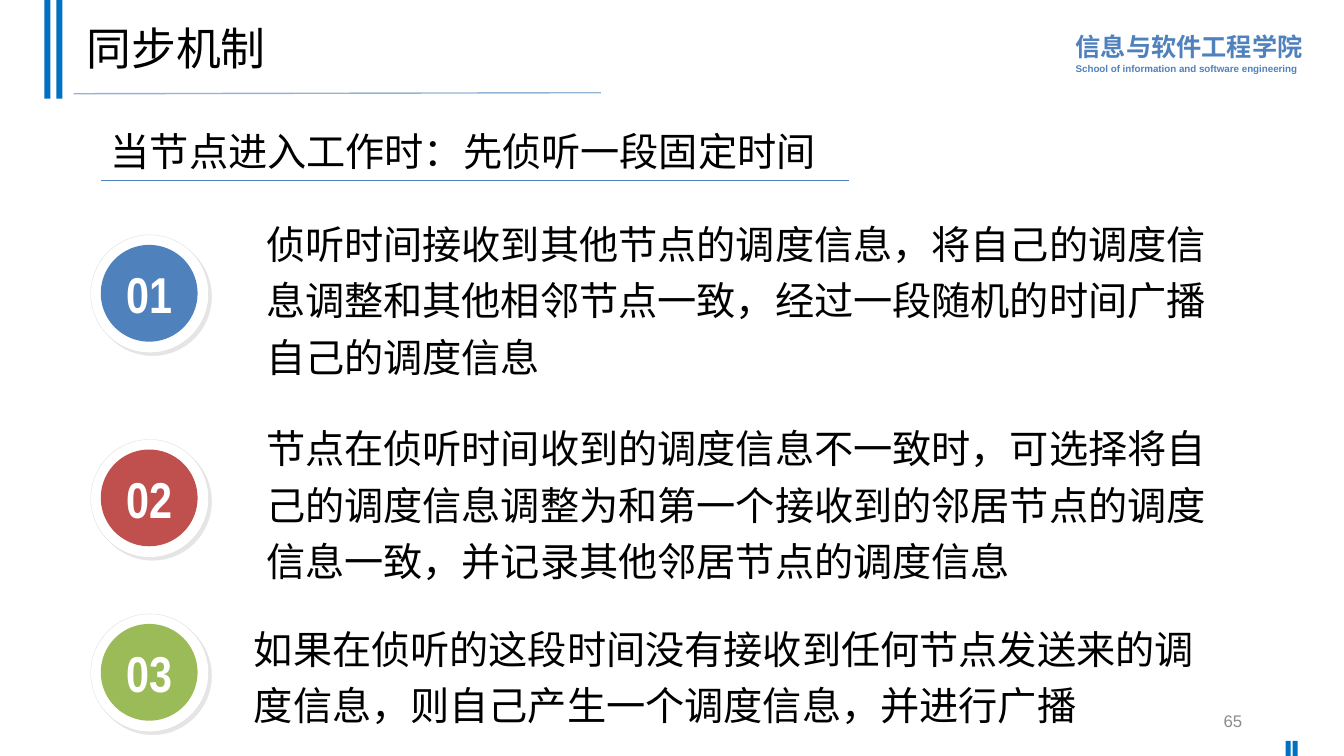
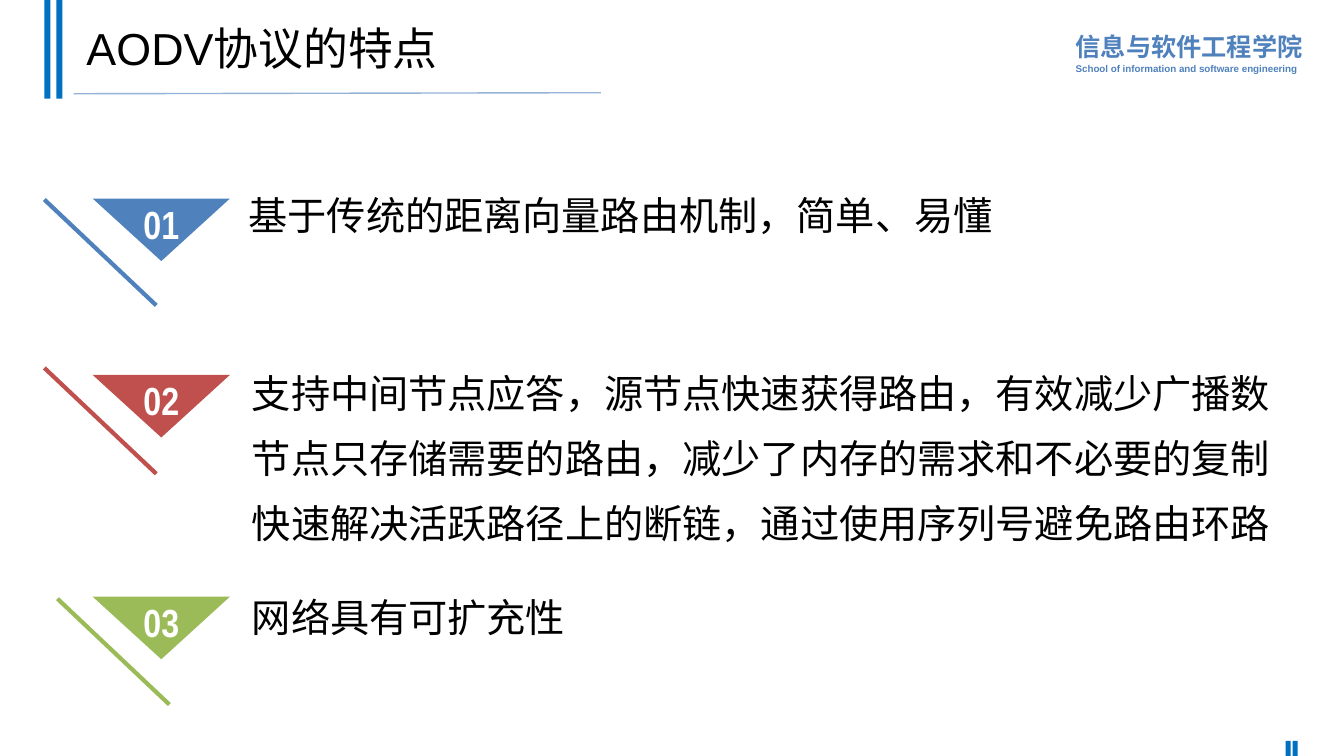
import lxml.etree
import pptx
import pptx.dml.color
import pptx.enum.shapes
import pptx.enum.text
import pptx.oxml.ns
import pptx.util

PX = 9144  # one px is a hundredth of an inch
BLUE, RED, GREEN = "4F81BD", "C0504D", "9BBB59"
BAR, RULE, WHITE, BLACK, GREY = "0070C0", "95B3D7", "FFFFFF", "000000", "8C8C8C"
HUES = [BLUE, RED, GREEN]
CJK = "Noto Sans CJK SC"

pt = pptx.util.Pt
rgb = pptx.dml.color.RGBColor.from_string
qn = pptx.oxml.ns.qn
Kind = pptx.enum.shapes.MSO_SHAPE
STRAIGHT = pptx.enum.shapes.MSO_CONNECTOR.STRAIGHT
Align = pptx.enum.text.PP_ALIGN
MIDDLE = {"vertical_anchor": pptx.enum.text.MSO_ANCHOR.MIDDLE}
TIGHT = {**MIDDLE, "margin_left": 0, "margin_right": 0, "margin_top": 0, "margin_bottom": 0}
CENTER = {"alignment": Align.CENTER}
BADGE = {"name": "Arial Narrow", "bold": True}


def paint(part, fill=None, line=None, width=1):
    """Set fill and line, switch the theme shadow off, return the effect list."""
    if fill:
        part.fill.solid()
        part.fill.fore_color.rgb = rgb(fill)
    if line:
        part.line.color.rgb = rgb(line)
        part.line.width = pt(width)
    else:
        part.line.fill.background()
    return lxml.etree.SubElement(part.element.spPr, qn("a:effectLst"))


def write(shape, lines, hue=BLACK, font={}, para={}, frame={}, gap=0):
    """Fill a shape with (text, size) lines; gap is the space between them."""
    body = shape.text_frame
    body.word_wrap = True
    for key, value in frame.items():
        setattr(body, key, value)
    for i, (text, size) in enumerate(lines):
        item = body.add_paragraph() if i else body.paragraphs[0]
        for key, value in para.items():
            setattr(item, key, value)
        if i and gap:
            item.space_before = pt(gap)
        run = item.add_run()
        run.text = text
        look = {"name": "Arial", "size": pt(size), **font}
        for key, value in look.items():
            setattr(run.font, key, value)
        run.font.color.rgb = rgb(hue)
        lxml.etree.SubElement(run._r.get_or_add_rPr(), qn("a:ea"), typeface=CJK)


deck = pptx.Presentation()
deck.slide_width, deck.slide_height = 1333 * PX, 750 * PX

# Shared header and corner marks
pages = []
for title in ["同步机制", "AODV协议的特点"]:
    page = deck.slides.add_slide(deck.slide_layouts[6]).shapes
    pages.append(page)
    school = page.add_textbox(1057 * PX, 23 * PX, 245 * PX, 56 * PX)
    write(school, [("信息与软件工程学院", 18),
                   ("School of information and software engineering", 7)],
          BLUE, {"bold": True}, {"line_spacing": 1.1})
    for x, y, w, h in [(44, 0, 6, 98), (56, 0, 6, 98), (1275, 735, 5, 15), (1282, 735, 5, 15)]:
        paint(page.add_shape(Kind.RECTANGLE, x * PX, y * PX, w * PX, h * PX), BAR)
    paint(page.add_connector(STRAIGHT, 73 * PX, 93 * PX, 596 * PX, 92 * PX), line=RULE)
    head = page.add_textbox(76 * PX, 7 * PX, 1150 * PX, 88 * PX)
    write(head, [(title, 32)], para={"line_spacing": 0.9}, frame=MIDDLE)

sync, traits = pages

# Synchronisation: heading and three numbered discs
lead = sync.add_textbox(100 * PX, 121 * PX, 742 * PX, 57 * PX)
write(lead, [("当节点进入工作时：先侦听一段固定时间", 28)])
paint(sync.add_connector(STRAIGHT, 100 * PX, 179 * PX, 842 * PX, 179 * PX), line=BLUE, width=0.5)

steps = [
    (233, 254, 204, "侦听时间接收到其他节点的调度信息，将自己的调度信息调整和其他相邻节点一致，"
                    "经过一段随机的时间广播自己的调度信息"),
    (436, 254, 407, "节点在侦听时间收到的调度信息不一致时，可选择将自己的调度信息调整为和第一个"
                    "接收到的邻居节点的调度信息一致，并记录其他邻居节点的调度信息"),
    (609, 242, 606, "如果在侦听的这段时间没有接收到任何节点发送来的调度信息，则自己产生一个"
                    "调度信息，并进行广播"),
]
for n, (top, left, y, text) in enumerate(steps):
    ring = sync.add_shape(Kind.OVAL, 90 * PX, top * PX, 117 * PX, 117 * PX)
    effects = paint(ring, WHITE, "DDDDDD", 0.25)
    shade = lxml.etree.SubElement(effects, qn("a:outerShdw"), blurRad="0", dist=str(pt(3)),
                                  dir="2700000", algn="tl", rotWithShape="0")
    tone = lxml.etree.SubElement(shade, qn("a:srgbClr"), val=BLACK)
    lxml.etree.SubElement(tone, qn("a:alpha"), val="10000")
    disc = sync.add_shape(Kind.OVAL, 100 * PX, (top + 10) * PX, 96 * PX, 96 * PX)
    paint(disc, HUES[n])
    write(disc, [(f"{n + 1:02}", 36)], WHITE, BADGE, CENTER, TIGHT)
    note = sync.add_textbox(left * PX, y * PX, 971 * PX, 175 * PX)
    write(note, [(text, 28)], para={"line_spacing": 1.2})

number = sync.add_textbox(942 * PX, 695 * PX, 300 * PX, 40 * PX)
write(number, [("65", 12)], GREY, para={"alignment": Align.RIGHT}, frame=MIDDLE)

# Protocol traits: flag, slanted line and text in each row
rows = [
    (197, 44, 198, (227, 171, 777, 84), CENTER, ["基于传统的距离向量路由机制，简单、易懂"]),
    (372, 44, 365, (240, 337, 1057, 225), {"line_spacing": 1.2},
     ["支持中间节点应答，源节点快速获得路由，有效减少广播数",
      "节点只存储需要的路由，减少了内存的需求和不必要的复制",
      "快速解决活跃路径上的断链，通过使用序列号避免路由环路"]),
    (592, 57, 594, (240, 570, 561, 84), {}, ["网络具有可扩充性"]),
]
for n, (top, x, y, box, para, texts) in enumerate(rows):
    slant = traits.add_connector(STRAIGHT, x * PX, y * PX, (x + 111) * PX, (y + 105) * PX)
    paint(slant, line=HUES[n], width=3)
    pen = traits.build_freeform(92, top, PX)
    pen.add_line_segments([(228, top), (160, top + 62)])
    flag = pen.convert_to_shape()
    paint(flag, HUES[n])
    write(flag, [(f"{n + 1:02}", 28)], WHITE, BADGE, CENTER, {**TIGHT, "margin_bottom": 12 * PX})
    note = traits.add_textbox(*[v * PX for v in box])
    write(note, [(text, 28) for text in texts], BLACK, {"name": CJK}, para, MIDDLE, gap=6)

deck.save("out.pptx")
